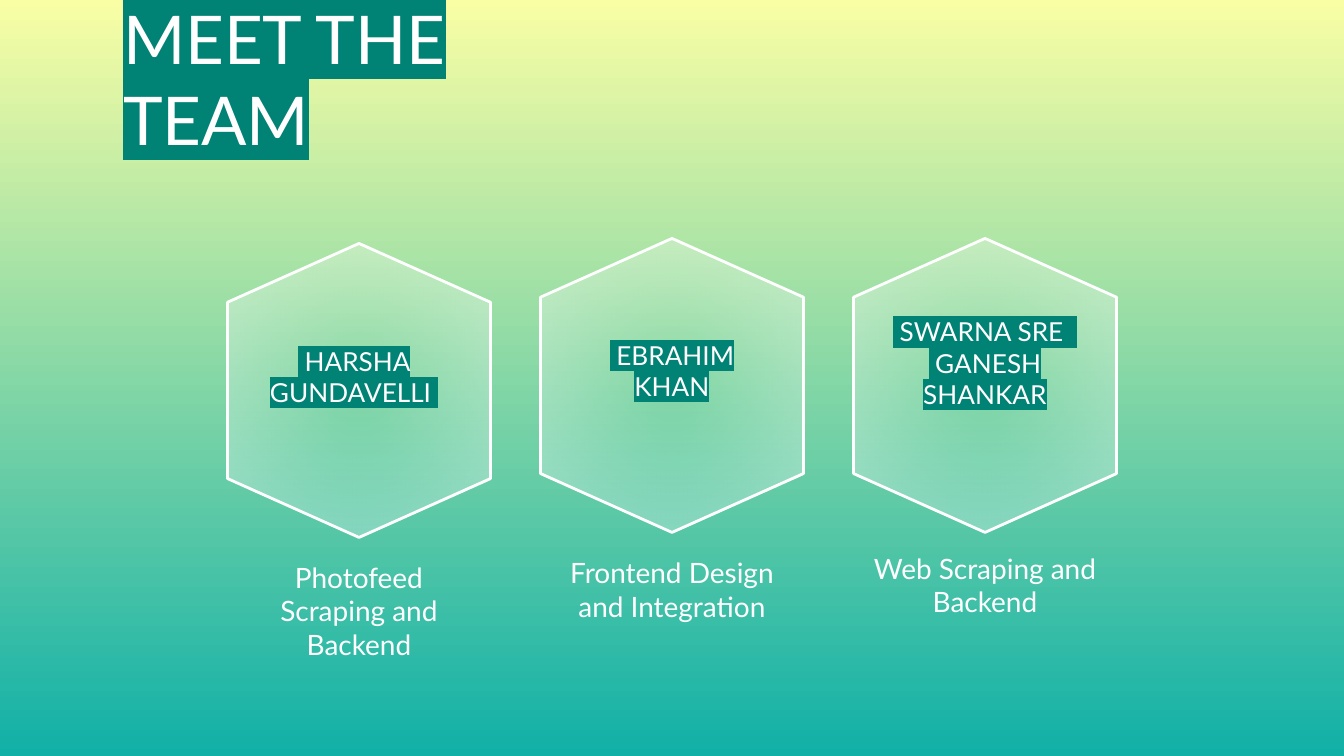
import pptx
import pptx.util
import pptx.dml.color
import pptx.enum.shapes
import pptx.enum.text
import pptx.oxml
import pptx.oxml.ns
from lxml import etree

# Content: boxes are (left, top, width, height) in px
SLIDE = (1344, 756)
HEADING = "MEET THE TEAM"
HEADING_BOX = (110, 74, 437, 98)
TEAM = [
    {"name": [" HARSHA GUNDAVELLI "], "role": "Photofeed Scraping and Backend",
     "hexagon_top": 259, "name_shift": -5, "name_top": 362, "name_height": 59,
     "role_top": 547, "role_height": 90},
    {"name": [" EBRAHIM KHAN"], "role": "Frontend Design and Integration",
     "hexagon_top": 254, "name_shift": 0, "name_top": 356, "name_height": 59,
     "role_top": 543, "role_height": 59},
    {"name": [" SWARNA SRE  ", " GANESH SHANKAR"], "role": "Web Scraping and Backend",
     "hexagon_top": 254, "name_shift": 0, "name_top": 333, "name_height": 90,
     "role_top": 538, "role_height": 59},
]
FIRST_CENTRE, PITCH = 359, 313
HEXAGON_SIZE = (294, 263)
NAME_WIDTH, ROLE_WIDTH = 231, 255
INSET = 13

THEME = {
    "font": "Lato", "white": "FFFFFF", "highlight": "008275",
    "background": ("F9FEA5", "11B0A7"), "edge_opacity": 39,
    "heading": 36, "name": 14, "role": 15, "outline": 1.5,
}
EMU_PER_PX = 914400 / 134.4


def px(length):
    return pptx.util.Emu(round(length * EMU_PER_PX))


def rgb(colour):
    return pptx.dml.color.RGBColor.from_string(colour)


def qn(tag):
    return pptx.oxml.ns.qn(tag)


def centred(centre, top, width, height):
    return (centre - width / 2, top, width, height)


def paint_gradient(fill, colours):
    fill.gradient()
    for stop, colour in zip(fill.gradient_stops, colours):
        stop.color.rgb = rgb(colour)


def add_text(slide, box, lines, size, anchor, align, highlight=None):
    label = slide.shapes.add_textbox(*map(px, box))
    frame_format = {"word_wrap": True, "vertical_anchor": anchor}
    for side in ("left", "top", "right", "bottom"):
        frame_format["margin_" + side] = px(INSET)
    for attribute, value in frame_format.items():
        setattr(label.text_frame, attribute, value)
    label.text_frame.text = "\n".join(lines)
    for paragraph in label.text_frame.paragraphs:
        paragraph.alignment = align
        run = paragraph.runs[0]
        for attribute, value in {"size": pptx.util.Pt(size), "name": THEME["font"]}.items():
            setattr(run.font, attribute, value)
        run.font.color.rgb = rgb(THEME["white"])
        if highlight:
            mark = etree.Element(qn("a:highlight"))
            etree.SubElement(mark, qn("a:srgbClr"), val=highlight)
            run.font._element.find(qn("a:solidFill")).addnext(mark)


def add_hexagon(slide, box):
    hexagon = slide.shapes.add_shape(
        pptx.enum.shapes.MSO_SHAPE.FLOWCHART_PREPARATION, *map(px, box))
    hexagon.rotation = 90
    hexagon.shadow.inherit = False
    hexagon.line.color.rgb = rgb(THEME["white"])
    hexagon.line.width = pptx.util.Pt(THEME["outline"])
    paint_gradient(hexagon.fill, [THEME["white"]] * 2)

    # Radial fade: clear centre, translucent edge
    gradient = hexagon._element.spPr.find(qn("a:gradFill"))
    for colour, opacity in zip(gradient.iter(qn("a:srgbClr")), (0, THEME["edge_opacity"])):
        etree.SubElement(colour, qn("a:alpha"), val=str(opacity * 1000))
    radial = etree.Element(qn("a:path"), path="circle")
    etree.SubElement(radial, qn("a:fillToRect"), l="50000", t="50000", r="50000", b="50000")
    gradient.replace(gradient.find(qn("a:lin")), radial)


def main():
    deck = pptx.Presentation()
    deck.slide_width, deck.slide_height = map(px, SLIDE)
    slide = deck.slides.add_slide(deck.slide_layouts[6])
    anchors, aligns = pptx.enum.text.MSO_ANCHOR, pptx.enum.text.PP_ALIGN

    # Background, top to bottom
    paint_gradient(slide.background.fill, THEME["background"])
    slide.background.fill.gradient_angle = 270

    # Heading
    add_text(slide, HEADING_BOX, [HEADING], THEME["heading"],
             anchors.BOTTOM, aligns.LEFT, THEME["highlight"])

    # One column per member: hexagon, name, role
    for column, member in enumerate(TEAM):
        centre = FIRST_CENTRE + column * PITCH
        add_hexagon(slide, centred(centre, member["hexagon_top"], *HEXAGON_SIZE))
        name_box = centred(centre + member["name_shift"], member["name_top"],
                           NAME_WIDTH, member["name_height"])
        add_text(slide, name_box, member["name"], THEME["name"],
                 anchors.BOTTOM, aligns.CENTER, THEME["highlight"])
        role_box = centred(centre, member["role_top"], ROLE_WIDTH, member["role_height"])
        add_text(slide, role_box, [member["role"]], THEME["role"],
                 anchors.TOP, aligns.CENTER)

    deck.save("out.pptx")


if __name__ == "__main__":
    main()
